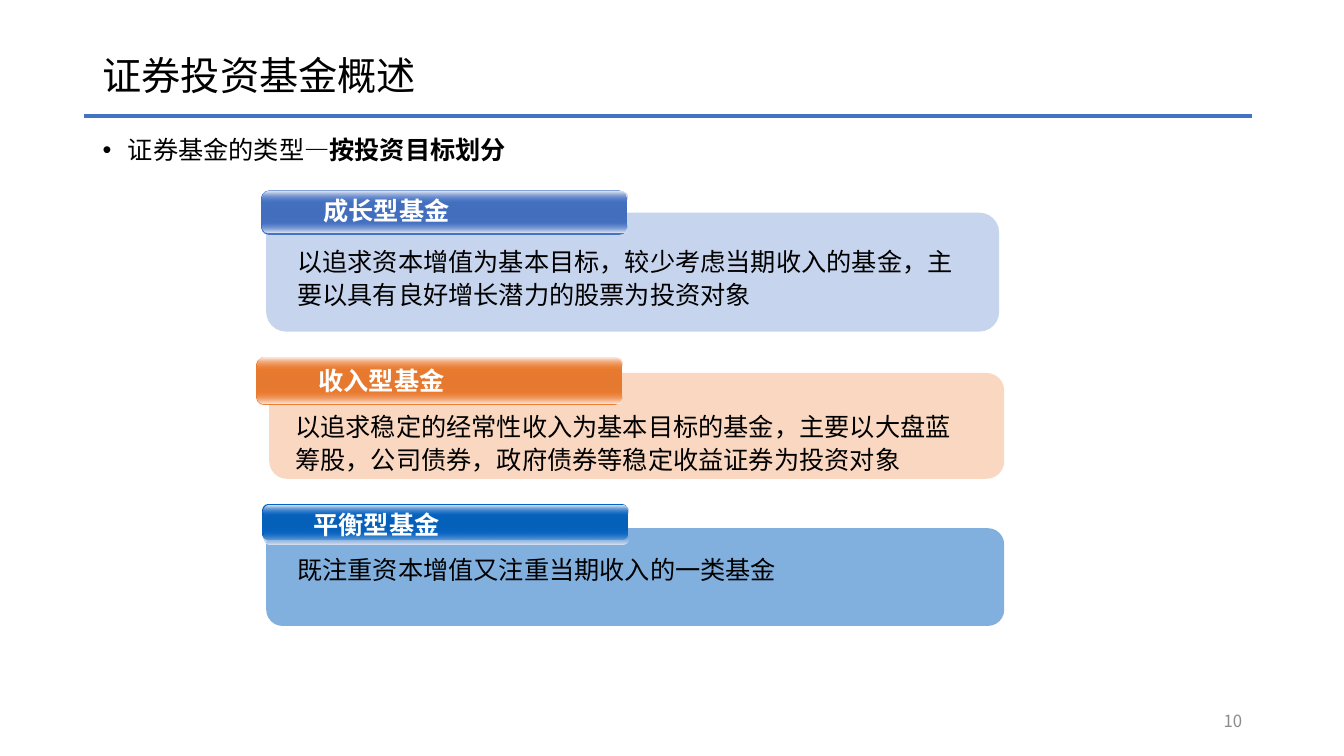
from lxml import etree
from pptx import Presentation
from pptx import util as u
from pptx.dml.color import RGBColor
from pptx.enum import shapes, text
from pptx.oxml.ns import qn

FONT = "Noto Sans CJK SC"
BLUE = "4472C4"
TITLE = "证券投资基金概述"
TOPIC = [("证券基金的类型—", False), ("按投资目标划分", True)]
PAGE = "10"

CARDS = [
    dict(label="成长型基金",
         body="以追求资本增值为基本目标，较少考虑当期收入的基金，主要以具有良好增长潜力的股票为投资对象",
         color=BLUE, middle="426EBD", alpha=30,
         panel=(2.64, 2.11, 7.27, 1.18), tab=(2.59, 1.89, 3.63, 0.44),
         low=(2.2, 0.11, "E9EBF5"), high=(1.9, 0.11, "E6E9F3"),
         label_at=(3.11, 1.89, 1.56, 0.4), body_at=(2.85, 2.36, 6.88, 0.73)),
    dict(label="平衡型基金",
         body="既注重资本增值又注重当期收入的一类基金",
         color="0563C1", middle="0560BA", alpha=50,
         panel=(2.64, 5.24, 7.32, 0.97), tab=(2.6, 5, 3.63, 0.36),
         low=(5.26, 0.14, "E0E4F1"), high=(5.02, 0.09, "E8EBF5"),
         label_at=(3.01, 5, 1.81, 0.4), body_at=(2.85, 5.42, 6.6, 0.39)),
    dict(label="收入型基金",
         body="以追求稳定的经常性收入为基本目标的基金，主要以大盘蓝筹股，公司债券，政府债券等稳定收益证券为投资对象",
         color="ED7D31", middle="E5792F", alpha=30,
         panel=(2.67, 3.7, 7.29, 1.05), tab=(2.54, 3.54, 3.63, 0.48),
         low=(3.88, 0.12, "FCEDE9"), high=(3.55, 0.12, "FCF0ED"),
         label_at=(3.06, 3.57, 1.65, 0.45), body_at=(2.83, 4, 6.75, 0.8)),
]


def rgb(value):
    return RGBColor.from_string(value)


def add_alpha(clr, percent):
    etree.SubElement(clr, qn("a:alpha"), val=str(percent * 1000))


def add_text(s, at, runs, size, color="000000", anchor=text.MSO_ANCHOR.TOP, wrap=True, **layout):
    sp = s.shapes.add_textbox(*map(u.Inches, at))
    tf = sp.text_frame
    tf.word_wrap, tf.vertical_anchor = wrap, anchor
    p = tf.paragraphs[0]
    for key, value in layout.items():
        setattr(p, key, value)
    for words, bold in runs:
        r = p.add_run()
        r.text = words
        for key, value in dict(name=FONT, size=u.Pt(size), bold=bold).items():
            setattr(r.font, key, value)
        r.font.color.rgb = rgb(color)
        r.font._element.find(qn("a:latin")).addnext(
            etree.Element(qn("a:ea"), typeface=FONT))
    return p


def add_round(s, at, radius):
    sp = s.shapes.add_shape(shapes.MSO_SHAPE.ROUNDED_RECTANGLE, *map(u.Inches, at))
    sp.adjustments[0] = radius
    sp.shadow.inherit = False
    sp.line.fill.background()
    return sp


def add_gradient(s, at, radius, stops):
    sp = add_round(s, at, radius)
    sp.fill.gradient()
    sp.fill.gradient_angle = 270
    gs_list = sp._element.spPr.find(qn("a:gradFill")).find(qn("a:gsLst"))
    for gs in list(gs_list):
        gs_list.remove(gs)
    for pos, color, alpha in stops:
        gs = etree.SubElement(gs_list, qn("a:gs"), pos=str(pos * 1000))
        add_alpha(etree.SubElement(gs, qn("a:srgbClr"), val=color), alpha)


def add_card(s, card):
    color = card["color"]
    panel = add_round(s, card["panel"], 0.167)
    panel.fill.solid()
    panel.fill.fore_color.rgb = rgb(color)
    add_alpha(panel._element.spPr.find(qn("a:solidFill"))[0], card["alpha"])

    left, _, width, _ = card["tab"]
    add_gradient(s, card["tab"], 0.175,
                 [(0, color, 100), (50, card["middle"], 100), (100, color, 100)])
    low_top, low_height, low_color = card["low"]
    add_gradient(s, (left + 0.01, low_top, width - 0.01, low_height), 0.5,
                 [(0, color, 0), (100, low_color, 100)])
    high_top, high_height, high_color = card["high"]
    add_gradient(s, (left + 0.01, high_top, width - 0.01, high_height), 0.5,
                 [(0, high_color, 100), (100, color, 0)])

    add_text(s, card["label_at"], [(card["label"], True)], 18, "FFFFFF", wrap=False)
    add_text(s, card["body_at"], [(card["body"], False)], 18, line_spacing=1.1)


def main():
    prs = Presentation()
    prs.slide_width, prs.slide_height = u.Inches(13.33), u.Inches(7.5)
    s = prs.slides.add_slide(prs.slide_layouts[6])

    add_text(s, (0.92, 0.4, 11.5, 0.74), [(TITLE, False)], 28,
             anchor=text.MSO_ANCHOR.MIDDLE, line_spacing=0.9)
    p = add_text(s, (0.92, 1.32, 11.5, 5.44), TOPIC, 18, line_spacing=0.9)
    pPr = p._p.get_or_add_pPr()
    pPr.set("marL", str(u.Inches(0.25)))
    pPr.set("indent", str(u.Inches(-0.25)))
    etree.SubElement(pPr, qn("a:buFont"), typeface="Arial")
    etree.SubElement(pPr, qn("a:buChar"), char="•")

    rule = s.shapes.add_connector(shapes.MSO_CONNECTOR.STRAIGHT,
                                  *map(u.Inches, (0.83, 1.15, 12.42, 1.15)))
    rule.line.color.rgb = rgb(BLUE)
    rule.line.width = u.Pt(3)
    etree.SubElement(rule._element.spPr, qn("a:effectLst"))

    add_text(s, (9.42, 6.95, 3, 0.4), [(PAGE, False)], 12, "8C8C8C",
             anchor=text.MSO_ANCHOR.MIDDLE, alignment=text.PP_ALIGN.RIGHT)
    for card in CARDS:
        add_card(s, card)
    prs.save("out.pptx")


if __name__ == "__main__":
    main()
